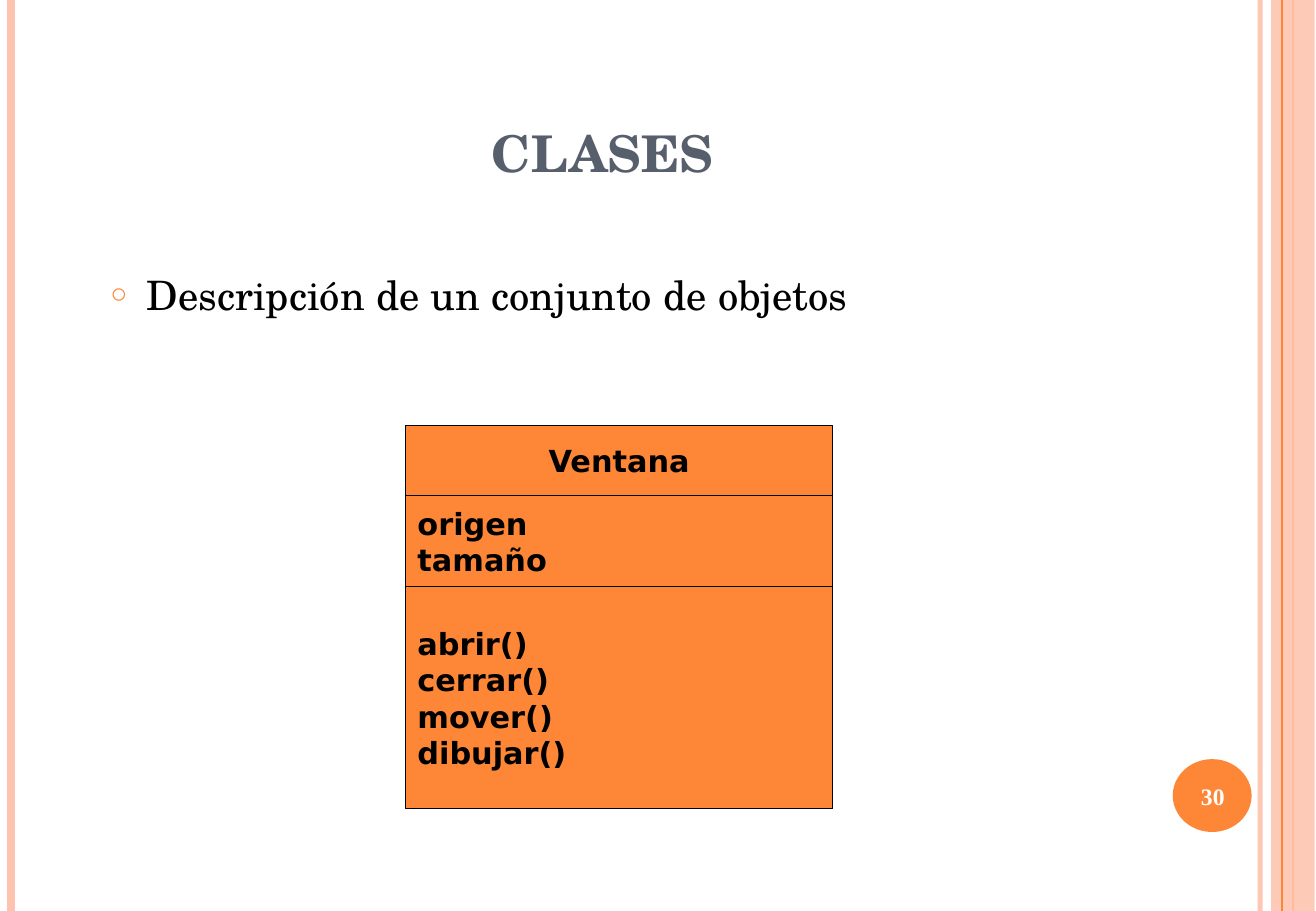
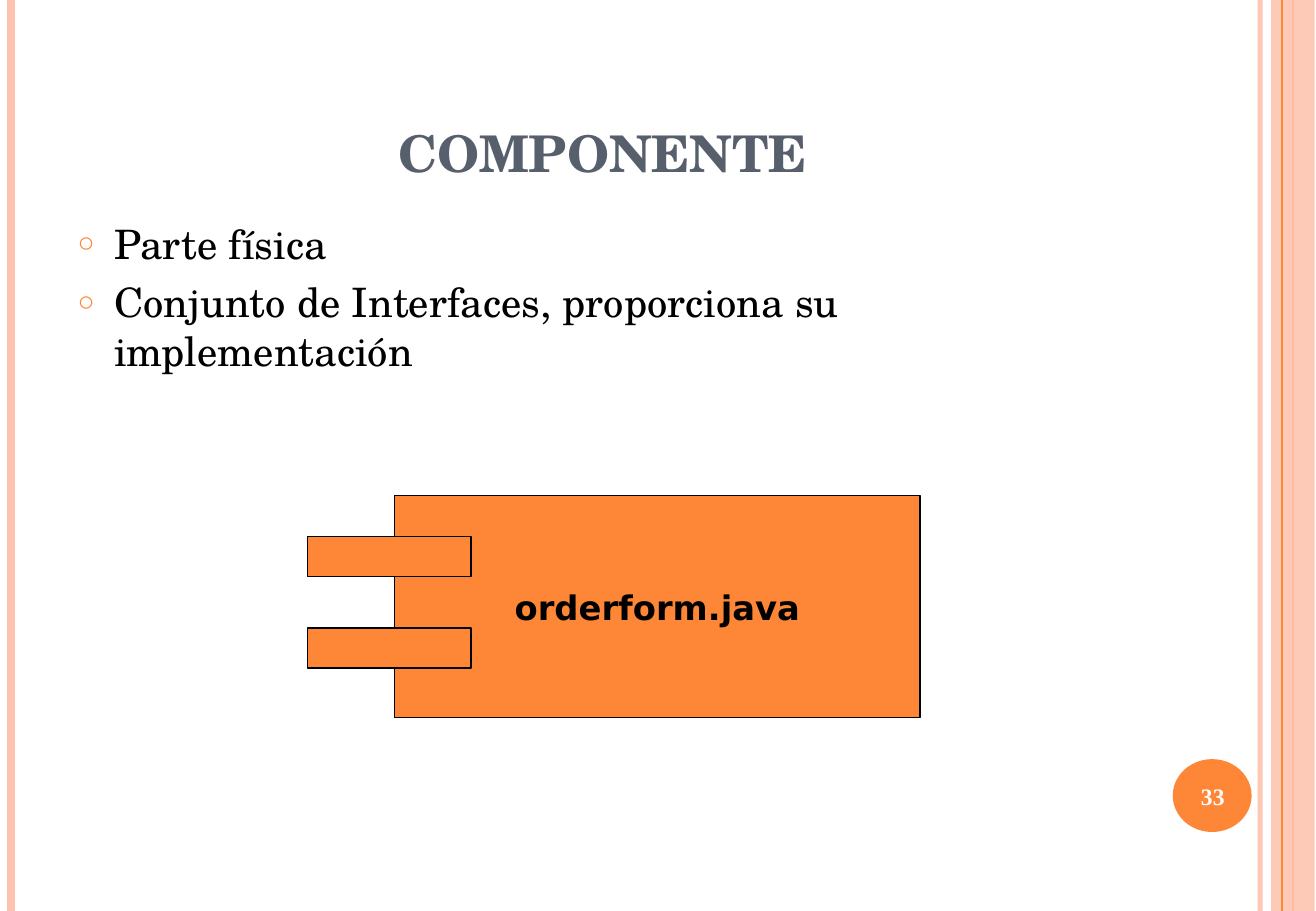
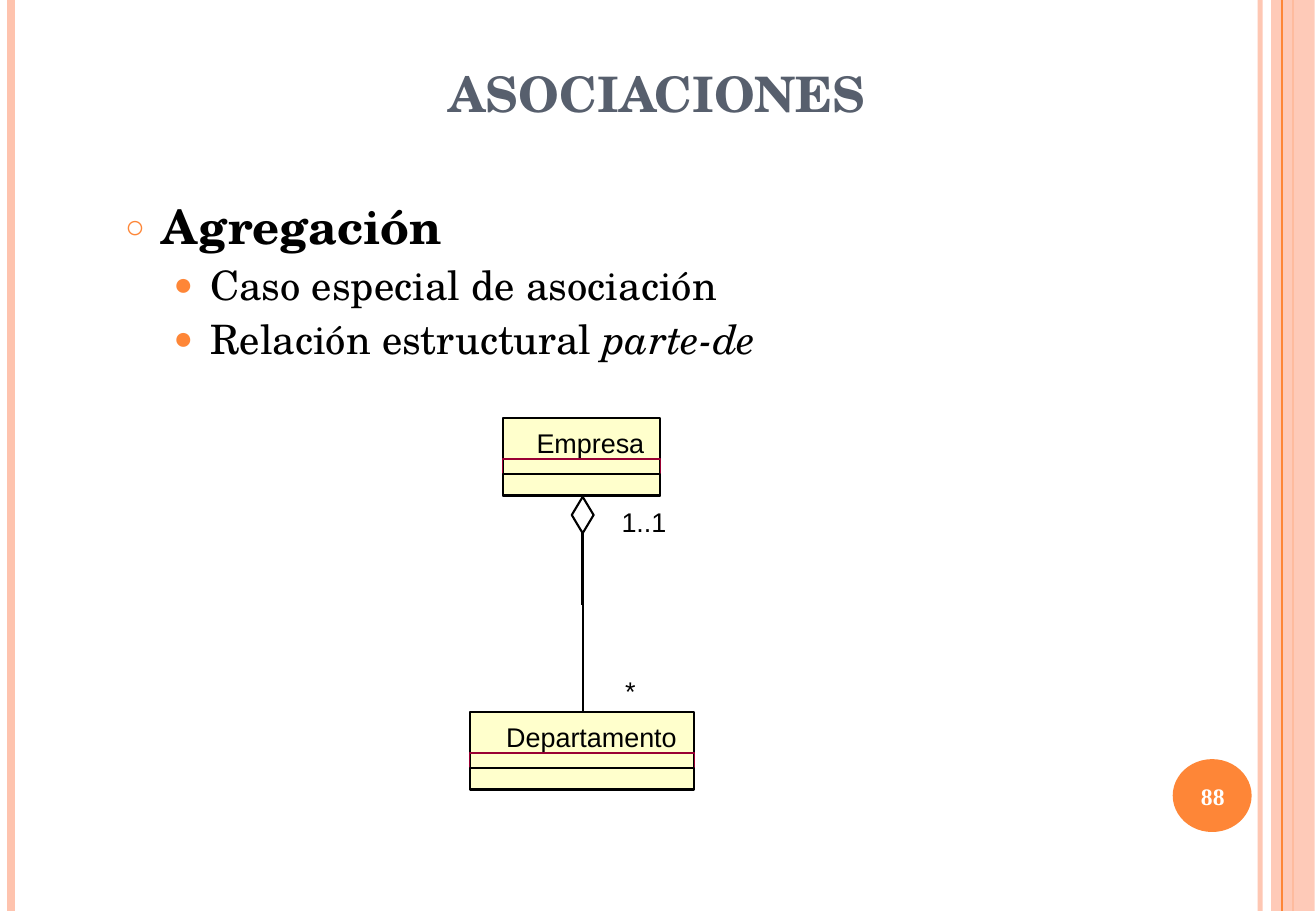
from lxml import etree
from pptx import Presentation
from pptx.dml.color import RGBColor
from pptx.enum.shapes import MSO_CONNECTOR as Connector, MSO_SHAPE as Preset
from pptx.enum.text import MSO_ANCHOR as Anchor, MSO_AUTO_SIZE as AutoSize, PP_ALIGN as Align
from pptx.oxml.ns import qn
from pptx.util import Inches, Pt

COLORS = {"orange": "FE8637", "peach": "FEC3AE", "slate": "575F6D", "cream": "FFFFCC",
          "wine": "990033", "black": "000000", "white": "FFFFFF"}
SERIF, SANS, LABEL, NUMBER = "TeX Gyre Schola", "DejaVu Sans", "Arial", "Times New Roman"
WIDTH, HEIGHT = 10.84, 7.5

BULLETS = [("○", 70, 0.3), ("●", 80, 0.7)]
HEADING = (0.54, 0.3, 8.85, 1.25)

SLIDES = [
    {"title": "CLASES", "title_at": HEADING, "title_size": 30, "number": "30",
     "body_at": (0.81, 2.17, 9.21, 1.29), "spacing": 1.0,
     "items": [(0, 24, [("Descripción de un conjunto de objetos", "")])]},
    {"title": "COMPONENTE", "title_at": HEADING, "title_size": 30, "number": "33",
     "body_at": (0.54, 1.75, 8.85, 5.33), "spacing": 1.0,
     "items": [(0, 24, [("Parte física", "")]),
               (0, 24, [("Conjunto de Interfaces, proporciona su implementación", "")])]},
    {"title": "ASOCIACIONES", "title_at": (0.81, 0.16, 9.21, 0.9), "title_size": 29, "number": "88",
     "body_at": (0.93, 1.63, 9.22, 1.48), "spacing": 0.9,
     "items": [(0, 28, [("Agregación", "b")]),
               (1, 24, [("Caso especial de asociación", "")]),
               (1, 24, [("Relación estructural ", ""), ("parte-de", "i")])]},
]

MASTER_LINES = [(10.38, "peach", 3, 93), (0.09, "peach", 4.5, 100),
                (10.65, "orange", 1.5, 100), (10.56, "orange", 0.75, 100)]
CLASS_SECTIONS = [(0.58, Align.CENTER, ["Ventana"]),
                  (0.75, Align.LEFT, ["origen", "tamaño"]),
                  (1.83, Align.LEFT, ["abrir()", "cerrar()", "mover()", "dibujar()"])]
ENTITIES = [("Empresa", 4.14, 3.44, 1.3, 4.42, 0.89),
            ("Departamento", 3.87, 5.86, 1.85, 4.17, 1.41)]
MULTIPLICITIES = [("1..1", 5.12, 4.16, 0.37), ("*", 5.15, 5.55, 0.09)]


def rgb(name):
    return RGBColor.from_string(COLORS[name])


def lengths(values):
    return [Inches(value) for value in values]


def add_alpha(element, percent):
    for color in element.iter(qn("a:srgbClr")):
        etree.SubElement(color, qn("a:alpha"), val=str(percent * 1000))


def style(span, size, font, color="black", bold=False, italic=False):
    span.font.size, span.font.name = Pt(size), font
    span.font.bold, span.font.italic = bold, italic
    span.font.color.rgb = rgb(color)


def write(shape, lines, size, font, color="black", bold=False, align=Align.LEFT, anchor=Anchor.MIDDLE):
    frame = shape.text_frame
    frame.text = "\n".join(lines)
    frame.word_wrap = True
    frame.auto_size = AutoSize.NONE
    frame.vertical_anchor = anchor
    for para in frame.paragraphs:
        para.alignment = align
        for span in para.runs:
            style(span, size, font, color, bold)


def place(shape, at):
    shape.left, shape.top, shape.width, shape.height = lengths(at)


def add_box(page, at, fill=None, line=None, width=0.75, preset=Preset.RECTANGLE):
    box = page.shapes.add_shape(preset, *lengths(at))
    paint(box, fill, line, width)
    return box


def paint(shape, fill, line, width):
    shape.shadow.inherit = False
    if fill:
        shape.fill.solid()
        shape.fill.fore_color.rgb = rgb(fill)
    else:
        shape.fill.background()
    if line:
        shape.line.color.rgb = rgb(line)
        shape.line.width = Pt(width)
    else:
        shape.line.fill.background()


def add_line(page, x, top, bottom, color, width):
    line = page.shapes.add_connector(Connector.STRAIGHT, *lengths((x, top, x, bottom)))
    line.line.color.rgb = rgb(color)
    line.line.width = Pt(width)
    etree.SubElement(line.element.spPr, qn("a:effectLst"))
    return line


def add_label(page, text, left, top, width):
    box = page.shapes.add_textbox(*lengths((left, top, width, 0.27)))
    write(box, [text], 16, LABEL, anchor=Anchor.TOP)
    frame = box.text_frame
    frame.margin_left = frame.margin_top = frame.margin_right = frame.margin_bottom = 0
    frame.word_wrap = False
    frame.auto_size = AutoSize.SHAPE_TO_FIT_TEXT


def decorate_master(deck, page):
    parts = []
    for x, color, width, alpha in MASTER_LINES:
        line = add_line(page, x, 0, HEIGHT, color, width)
        if alpha < 100:
            add_alpha(line.element, alpha)
        parts.append(line)
    band = add_box(page, (10.47, 0, 0.36, HEIGHT), "peach")
    add_alpha(band.element, 87)
    parts.insert(3, band)
    parts.append(add_box(page, (9.66, 6.25, 0.65, 0.6), "orange", preset=Preset.OVAL))
    for index, part in enumerate(parts):
        next(part.element.iter(qn("p:cNvPr"))).set("id", str(100 + index))
        deck.slide_master.shapes.element.append(part.element)


def add_bullet(para, level):
    char, size, indent = BULLETS[level]
    props = para._p.get_or_add_pPr()
    props.set("marL", str(Inches(indent)))
    props.set("indent", str(Inches(-0.3)))
    color = etree.SubElement(props, qn("a:buClr"))
    etree.SubElement(color, qn("a:srgbClr"), val=COLORS["orange"])
    etree.SubElement(props, qn("a:buSzPct"), val=str(size * 1000))
    etree.SubElement(props, qn("a:buChar"), char=char)


def fill_body(body, content):
    place(body, content["body_at"])
    frame = body.text_frame
    frame.auto_size = AutoSize.NONE
    for index, (level, size, spans) in enumerate(content["items"]):
        para = frame.add_paragraph() if index else frame.paragraphs[0]
        add_bullet(para, level)
        para.level = level
        para.line_spacing = content["spacing"]
        para.space_before = Pt(6 if index else 0)
        for text, flags in spans:
            span = para.add_run()
            span.text = text
            style(span, size, SERIF, bold="b" in flags, italic="i" in flags)


def fill_page(page, content):
    title, body = page.placeholders
    place(title, content["title_at"])
    write(title, [content["title"]], content["title_size"], SERIF, "slate", True,
          Align.CENTER, Anchor.BOTTOM)
    fill_body(body, content)
    number = page.shapes.add_textbox(*lengths((9.63, 6.27, 0.72, 0.57)))
    write(number, [content["number"]], 14, NUMBER, "white", True, Align.CENTER)


def draw_class(page):
    top = 3.5
    for height, align, lines in CLASS_SECTIONS:
        section = add_box(page, (3.34, top, 3.52, height), "orange", "black")
        write(section, lines, 18, SANS, bold=True, align=align)
        top += height


def draw_component(page):
    component = add_box(page, (3.25, 4.08, 4.33, 1.83), "orange", "black")
    write(component, ["orderform.java"], 20, SANS, bold=True, align=Align.CENTER)
    for top in (4.42, 5.17):
        add_box(page, (2.53, top, 1.35, 0.33), "orange", "black")


def draw_aggregation(page):
    for name, left, top, width, text_left, text_width in ENTITIES:
        add_box(page, (left, top, width, 0.64), "cream", "black", 1.25)
        add_label(page, name, text_left, top + 0.07, text_width)
        add_box(page, (left, top + 0.34, width, 0.3), None, "wine", 0)
        add_box(page, (left, top + 0.46, width, 0.18), None, "black", 1.25)
    axis, start, middle, end = 4.8, 4.09, 4.98, 5.86
    add_line(page, axis, start, middle, "black", 0)
    outline = page.shapes.build_freeform(Inches(axis), Inches(start))
    corners = [(axis + 0.09, start + 0.15), (axis, start + 0.3), (axis - 0.09, start + 0.15)]
    outline.add_line_segments([lengths(corner) for corner in corners], close=True)
    paint(outline.convert_to_shape(), "white", "black", 1.25)
    add_line(page, axis, middle, end, "black", 1.25)
    for label in MULTIPLICITIES:
        add_label(page, *label)


def main():
    deck = Presentation()
    deck.slide_width, deck.slide_height = lengths((WIDTH, HEIGHT))
    layout = deck.slide_layouts[1]
    pages = [deck.slides.add_slide(layout) for content in SLIDES]
    decorate_master(deck, pages[0])
    for page, content, draw in zip(pages, SLIDES, (draw_class, draw_component, draw_aggregation)):
        fill_page(page, content)
        draw(page)
    deck.save("out.pptx")


if __name__ == "__main__":
    main()
